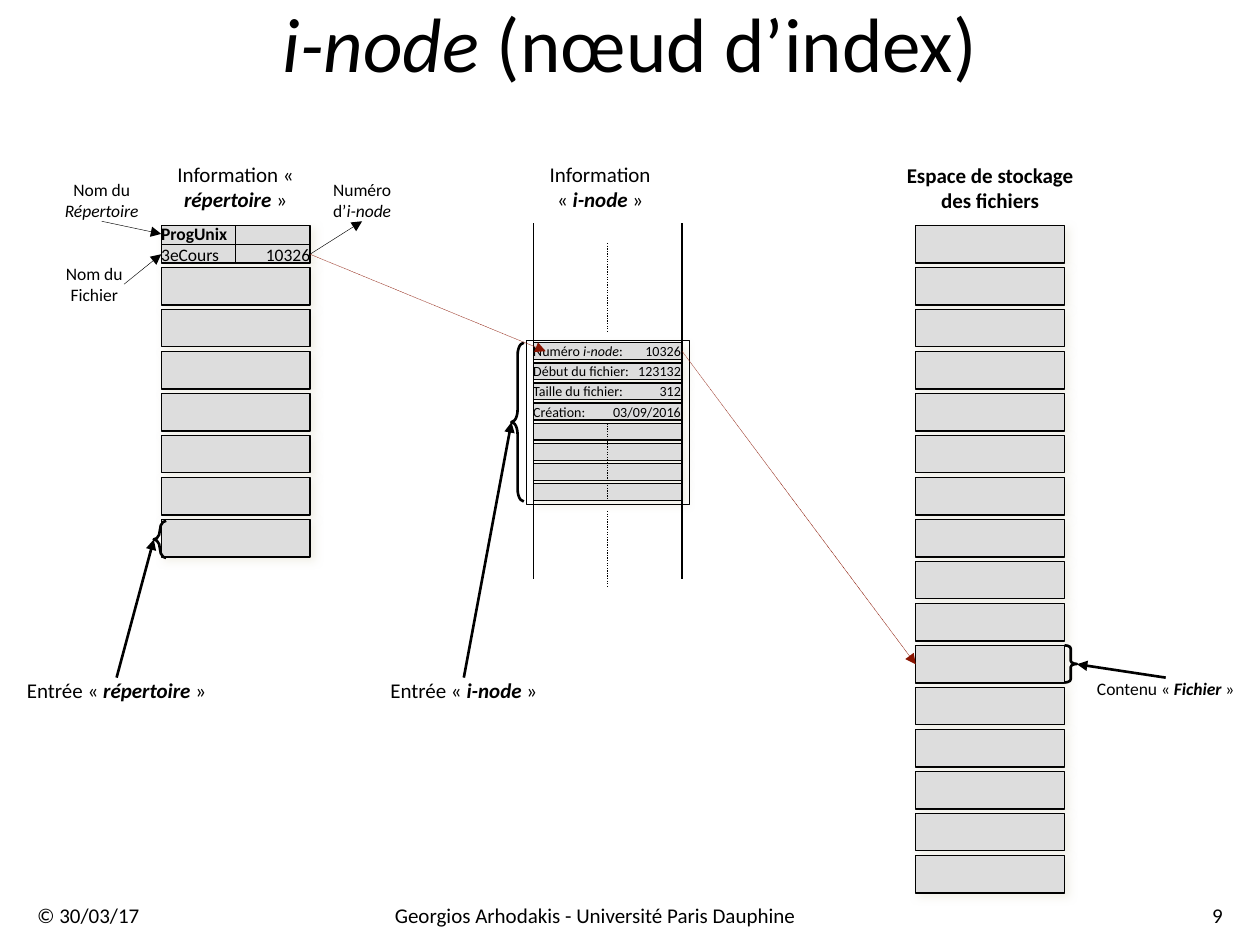
from lxml.etree import SubElement
from pptx import Presentation
from pptx.dml.color import RGBColor
from pptx.enum.dml import MSO_LINE
from pptx.enum.shapes import MSO_CONNECTOR, MSO_SHAPE as Kind
from pptx.enum.text import MSO_ANCHOR, MSO_AUTO_SIZE, PP_ALIGN as Align
from pptx.oxml.ns import qn
from pptx.util import Cm, Pt

COLOURS = {"ink": "000000", "block": "DDDDDD", "shadow": "EEECE1", "pointer": "891401"}
TOP, LEFT, BOTTOM, RIGHT = range(4)

deck = Presentation()
deck.slide_width, deck.slide_height = Cm(25.4), Cm(19.05)
page = deck.slides.add_slide(deck.slide_layouts[6])


def write(box, runs, size, align, inset=0):
    frame = box.text_frame
    frame.word_wrap = True
    frame.auto_size = MSO_AUTO_SIZE.NONE if inset else MSO_AUTO_SIZE.SHAPE_TO_FIT_TEXT
    frame.vertical_anchor = MSO_ANCHOR.MIDDLE
    frame.margin_left = frame.margin_right = Cm(inset)
    frame.margin_top = frame.margin_bottom = Cm(inset / 2)
    para = frame.paragraphs[0]
    para.alignment = align
    for text, style in runs:
        span = para.add_run()
        span.text = text
        span.font.name = "Calibri"
        span.font.size = Pt(size)
        span.font.bold = "b" in style
        span.font.italic = "i" in style
        span.font.color.rgb = RGBColor.from_string(COLOURS["ink"])
    return para


def draw(kind, left, top, width, height, line=None, filled=False):
    shape = page.shapes.add_shape(kind, Cm(left), Cm(top), Cm(width), Cm(height))
    shape.shadow.inherit = False
    if line:
        shape.line.width = Pt(line)
        shape.line.color.rgb = RGBColor.from_string(COLOURS["ink"])
    else:
        shape.line.fill.background()
    if filled:
        shape.fill.solid()
        shape.fill.fore_color.rgb = RGBColor.from_string(COLOURS["block"])
        effects = shape._element.spPr.find(qn("a:effectLst"))
        shadow = SubElement(effects, qn("a:outerShdw"), blurRad=str(Pt(5)), dist=str(Pt(3)),
                            dir="2700000", algn="ctr", rotWithShape="0")
        tint = SubElement(shadow, qn("a:srgbClr"), val=COLOURS["shadow"])
        SubElement(tint, qn("a:alpha"), val="75000")
    else:
        shape.fill.background()
    return shape


labels = {}
for name, left, top, width, height, size, align, inset, runs in [
    ("date", 0.5, 18.2, 3, 0.5, 12, Align.LEFT, 0.25, [("© 30/03/17", "")]),
    ("author", 3.5, 18.2, 17, 0.5, 12, Align.CENTER, 0.25,
     [("Georgios Arhodakis - Université Paris Dauphine", "")]),
    ("number", 23.9, 18.2, 1, 0.5, 12, Align.RIGHT, 0.25, [("9", "")]),
    ("title", 0, 0, 25.4, 1.7, 44, Align.CENTER, 0, [("i-node", "i"), (" (nœud d’index)", "")]),
    ("storage", 18.26, 3.25, 3.4, 1.06, 12, Align.CENTER, 0,
     [("Espace de stockage des fichiers", "b")]),
    ("directory", 3.55, 3.25, 2.4, 1.02, 12, Align.CENTER, 0,
     [("Information « ", ""), ("répertoire", "bi"), (" »", "")]),
    ("inode", 11.05, 3.25, 2.1, 1.02, 12, Align.CENTER, 0,
     [("Information « ", ""), ("i-node", "bi"), (" »", "")]),
    ("content", 22.1, 13.66, 2.8, 0.43, 10, Align.CENTER, 0,
     [("Contenu « ", ""), ("Fichier", "bi"), (" »", "")]),
    ("directory entry", 0.5, 13.66, 3.7, 0.51, 12, Align.CENTER, 0,
     [("Entrée « ", ""), ("répertoire", "bi"), (" »", "")]),
    ("inode entry", 7.85, 13.66, 3, 0.51, 12, Align.CENTER, 0,
     [("Entrée « ", ""), ("i-node", "bi"), (" »", "")]),
    ("inode number", 6.7, 3.6, 1.2, 0.86, 10, Align.CENTER, 0,
     [("Numéro d’", ""), ("i-node", "i")]),
    ("directory name", 1.3, 3.6, 1.5, 0.86, 10, Align.CENTER, 0,
     [("Nom du ", ""), ("Répertoire", "i")]),
    ("file name", 1.3, 5.3, 1.2, 0.86, 10, Align.CENTER, 0, [("Nom du Fichier", "")]),
]:
    labels[name] = page.shapes.add_textbox(Cm(left), Cm(top), Cm(width), Cm(height))
    write(labels[name], runs, size, align, inset)

columns = {}
for name, left, count in [("directory", 3.25, 8), ("storage", 18.46, 16)]:
    columns[name] = [draw(Kind.FLOWCHART_PROCESS, left, 4.55 + 12.7 * row / 15, 3, 0.75, 0.75, True)
                     for row in range(count)]

inode_rows = [draw(Kind.FLOWCHART_PROCESS, 10.75, 6.91 + 2.84 * row / 7, 3, 0.34, 0.75, True)
              for row in range(8)]
for row, runs in zip(inode_rows, [
    [("Numéro ", ""), ("i-node", "i"), (":\t10326", "")],
    [("Début du fichier:\t123132", "")],
    [("Taille du fichier:\t312", "")],
    [("Création:\t03/09/2016", "")],
]):
    para = write(row, runs, 8, Align.LEFT)
    tabs = SubElement(para._p.get_or_add_pPr(), qn("a:tabLst"))
    SubElement(tabs, qn("a:tab"), pos=str(Cm(2.98)), algn="r")

cells = {}
for text, left, top, style, align in [
    ("ProgUnix", 3.25, 4.5, "b", Align.LEFT),
    ("3eCours", 3.25, 4.91, "", Align.LEFT),
    ("10326", 4.75, 4.91, "", Align.RIGHT),
]:
    cells[text] = draw(Kind.FLOWCHART_PROCESS, left, top, 1.5, 0.43)
    write(cells[text], [(text, style)], 10, align)

draw(Kind.RECTANGLE, 10.6, 6.86, 3.3, 3.3, 0.25)

braces = {}
for name, kind, left, top, height, curve in [
    ("directory", Kind.LEFT_BRACE, 3.1, 10.5, 0.75, 0.99),
    ("inode", Kind.LEFT_BRACE, 10.31, 6.91, 3.2, 0.99),
    ("file", Kind.RIGHT_BRACE, 21.46, 13.01, 0.75, 0.25),
]:
    braces[name] = draw(kind, left, top, 0.25, height, 1.5)
    braces[name].adjustments[0] = curve

first = columns["directory"][0]
for start, end, width, colour, dotted, arrow in [
    ((10.75, 4.5), (10.75, 11.68), 0.75, "ink", False, False),
    ((13.75, 4.5), (13.75, 11.68), 0.75, "ink", False, False),
    ((12.25, 4.9), (12.25, 6.7), 0.75, "ink", True, False),
    ((12.25, 10.3), (12.25, 11.85), 0.75, "ink", True, False),
    ((inode_rows[4], TOP), (inode_rows[7], BOTTOM), 0.75, "ink", True, False),
    ((first, TOP), (first, BOTTOM), 0.75, "ink", False, False),
    ((first, LEFT), (first, RIGHT), 0.75, "ink", False, False),
    ((labels["directory name"], BOTTOM), (cells["ProgUnix"], LEFT), 0.25, "ink", False, True),
    ((labels["file name"], RIGHT), (cells["3eCours"], LEFT), 0.25, "ink", False, True),
    ((cells["10326"], RIGHT), (labels["inode number"], BOTTOM), 0.25, "ink", False, True),
    ((cells["10326"], RIGHT), (11, 7.08), 0.25, "pointer", True, True),
    ((inode_rows[0], RIGHT), (columns["storage"][10], LEFT), 0.25, "pointer", True, True),
    ((labels["directory entry"], TOP), (braces["directory"], LEFT), 1.5, "ink", False, True),
    ((labels["inode entry"], TOP), (braces["inode"], LEFT), 1.5, "ink", False, True),
    ((labels["content"], TOP), (21.71, 13.39), 1.5, "ink", False, True),
]:
    points = [(0, 0) if hasattr(spot[0], "shape_id") else spot for spot in (start, end)]
    (x1, y1), (x2, y2) = points
    link = page.shapes.add_connector(MSO_CONNECTOR.STRAIGHT, Cm(x1), Cm(y1), Cm(x2), Cm(y2))
    for spot, join in [(start, link.begin_connect), (end, link.end_connect)]:
        if hasattr(spot[0], "shape_id"):
            join(*spot)
    link.line.width = Pt(width)
    link.line.color.rgb = RGBColor.from_string(COLOURS[colour])
    if dotted:
        link.line.dash_style = MSO_LINE.ROUND_DOT
    if arrow:
        SubElement(link.line._get_or_add_ln(), qn("a:tailEnd"), type="triangle")
    SubElement(link._element.spPr, qn("a:effectLst"))

deck.save("out.pptx")
